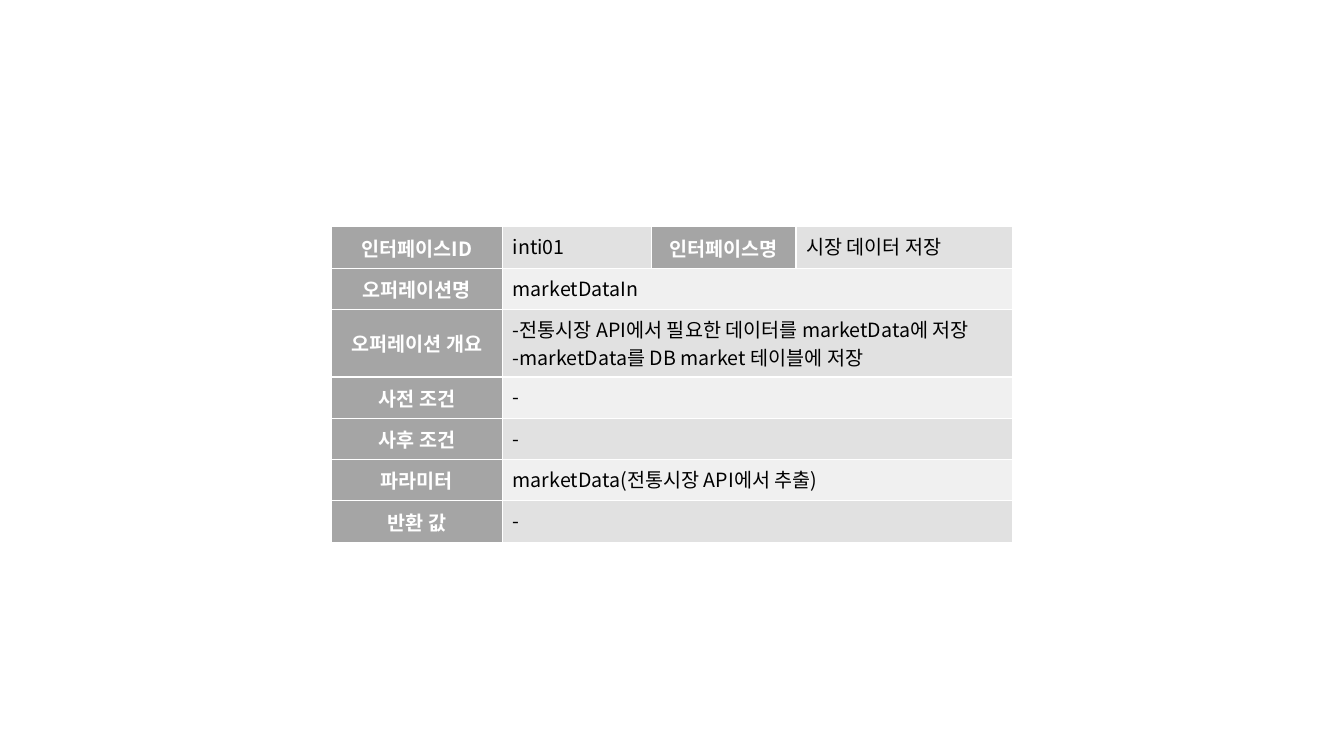
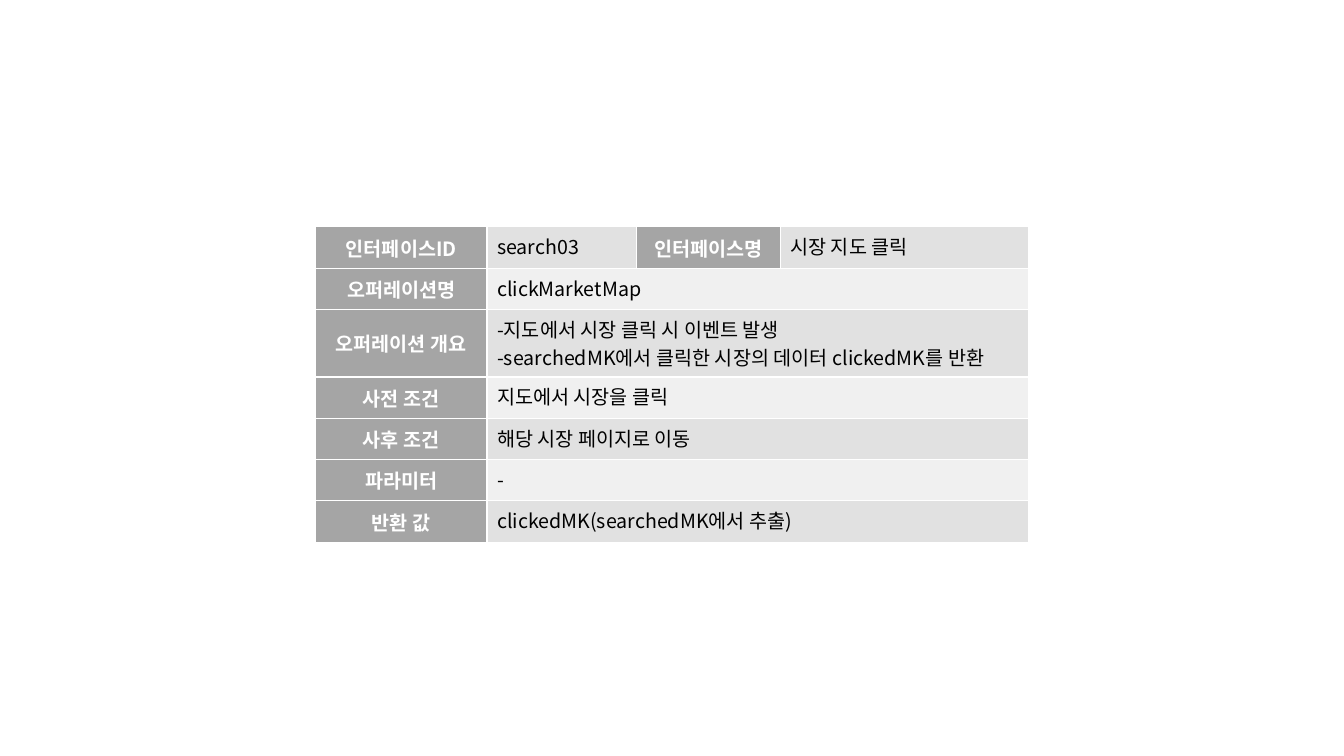
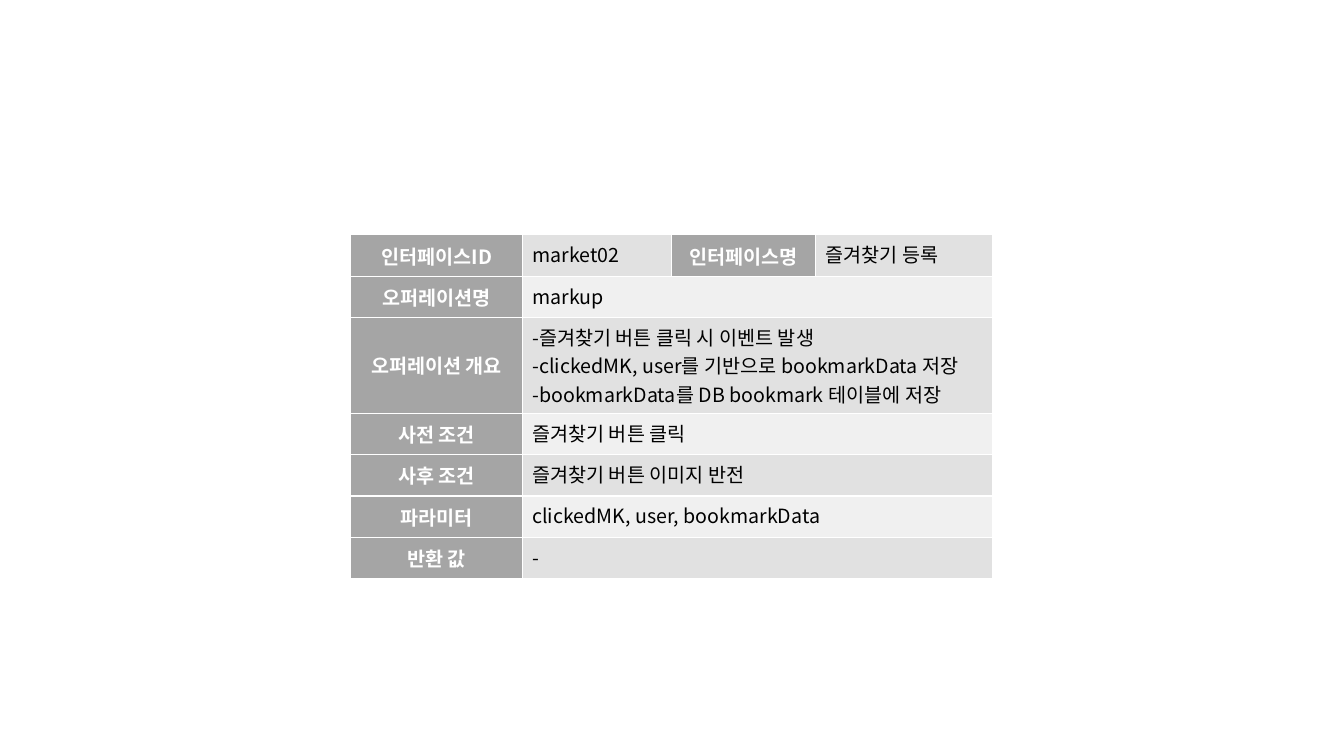
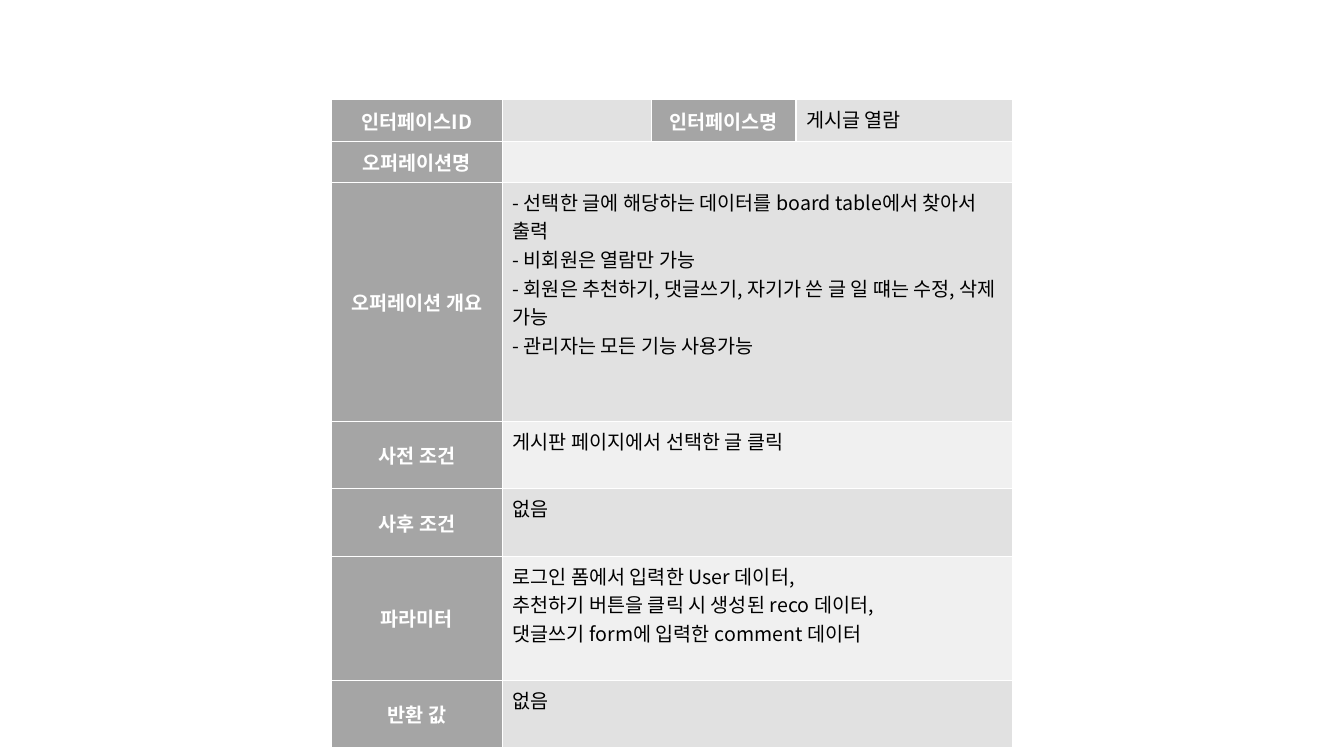
"""Build four interface specification slides, each holding one table."""
from lxml.etree import SubElement
from pptx import Presentation
from pptx.dml.color import RGBColor
from pptx.enum.text import MSO_ANCHOR, PP_ALIGN
from pptx.oxml.ns import qn
from pptx.util import Inches, Pt

THEME = {
    "font": "Noto Sans CJK KR",
    "size": 14,
    "border": "FFFFFF",
    "border_width": 1,
    "label_fill": "A5A5A5",
    "row_fills": ("E1E1E1", "F0F0F0"),
    "label": {"bold": True, "color": "FFFFFF"},
    "value": {"bold": False, "color": "000000"},
}
SLIDE_W, SLIDE_H = 13.33, 7.5
LABEL_COLS = (1.7, 1.48, 1.43)
ROW_H = 0.41
LABELS = ("오퍼레이션명", "오퍼레이션 개요", "사전 조건", "사후 조건", "파라미터", "반환 값")

SPECS = [
    {
        "top": 2.25, "last_col": 2.15, "heights": {2: 0.67},
        "id": "inti01", "name": "시장 데이터 저장",
        "values": (
            "marketDataIn",
            "-전통시장 API에서 필요한 데이터를 marketData에 저장\n"
            "-marketData를 DB market 테이블에 저장",
            "-",
            "-",
            "marketData(전통시장 API에서 추출)",
            "-",
        ),
    },
    {
        "top": 2.25, "last_col": 2.46, "heights": {2: 0.67},
        "id": "search03", "name": "시장 지도 클릭",
        "values": (
            "clickMarketMap",
            "-지도에서 시장 클릭 시 이벤트 발생\n"
            "-searchedMK에서 클릭한 시장의 데이터 clickedMK를 반환",
            "지도에서 시장을 클릭",
            "해당 시장 페이지로 이동",
            "-",
            "clickedMK(searchedMK에서 추출)",
        ),
    },
    {
        "top": 2.33, "last_col": 1.76, "heights": {2: 0.95},
        "id": "market02", "name": "즐겨찾기 등록",
        "values": (
            "markup",
            "-즐겨찾기 버튼 클릭 시 이벤트 발생\n"
            "-clickedMK, user를 기반으로 bookmarkData 저장\n"
            "-bookmarkData를 DB bookmark 테이블에 저장",
            "즐겨찾기 버튼 클릭",
            "즐겨찾기 버튼 이미지 반전",
            "clickedMK, user, bookmarkData",
            "-",
        ),
    },
    {
        "top": 0.99, "last_col": 2.15,
        "heights": {2: 2.37, 3: 0.67, 4: 0.67, 5: 1.23, 6: 0.67},
        "id": "", "name": "게시글 열람",
        "values": (
            "",
            "- 선택한 글에 해당하는 데이터를 board table에서 찾아서 출력\n"
            "- 비회원은 열람만 가능\n"
            "- 회원은 추천하기, 댓글쓰기, 자기가 쓴 글 일 떄는 수정, 삭제\n"
            "가능\n"
            "- 관리자는 모든 기능 사용가능",
            "게시판 페이지에서 선택한 글 클릭",
            "없음",
            "로그인 폼에서 입력한 User 데이터,\n"
            "추천하기 버튼을 클릭 시 생성된 reco 데이터,\n"
            "댓글쓰기 form에 입력한 comment 데이터",
            "없음",
        ),
    },
]


def set_borders(cell):
    tc_pr = cell._tc.get_or_add_tcPr()
    for i, side in enumerate(("lnL", "lnR", "lnT", "lnB")):
        ln = SubElement(tc_pr, qn(f"a:{side}"), w=str(Pt(THEME["border_width"])))
        SubElement(SubElement(ln, qn("a:solidFill")), qn("a:srgbClr"), val=THEME["border"])
        tc_pr.insert(i, ln)


def write_cell(cell, text, fill, style):
    cell.fill.solid()
    cell.fill.fore_color.rgb = RGBColor.from_string(fill)
    set_borders(cell)
    tf = cell.text_frame
    tf.text = text
    is_label = style is THEME["label"]
    if is_label:
        cell.vertical_anchor = MSO_ANCHOR.MIDDLE
    font_format = {"name": THEME["font"], "size": Pt(THEME["size"]), "bold": style["bold"]}
    for p in tf.paragraphs:
        if is_label:
            p.alignment = PP_ALIGN.CENTER
        for r in p.runs:
            for key, value in font_format.items():
                setattr(r.font, key, value)
            r.font.color.rgb = RGBColor.from_string(style["color"])
            SubElement(r._r.get_or_add_rPr(), qn("a:ea"), typeface=THEME["font"])
        SubElement(p._p, qn("a:endParaRPr"), sz=str(THEME["size"] * 100))


prs = Presentation()
prs.slide_width, prs.slide_height = Inches(SLIDE_W), Inches(SLIDE_H)

for spec in SPECS:
    s = prs.slides.add_slide(prs.slide_layouts[6])
    cols = (*LABEL_COLS, spec["last_col"])
    rows = [("인터페이스ID", spec["id"], "인터페이스명", spec["name"])]
    rows += [(label, value, "", "") for label, value in zip(LABELS, spec["values"])]
    heights = [spec["heights"].get(i, ROW_H) for i in range(len(rows))]
    width = sum(cols)
    table = s.shapes.add_table(
        len(rows), len(cols), Inches((SLIDE_W - width) / 2), Inches(spec["top"]),
        Inches(width), Inches(sum(heights)),
    ).table
    table.first_row = table.horz_banding = False
    for col, col_w in zip(table.columns, cols):
        col.width = Inches(col_w)
    for i, (row, texts) in enumerate(zip(table.rows, rows)):
        row.height = Inches(heights[i])
        for j, text in enumerate(texts):
            is_label = j == 0 or (i == 0 and j == 2)
            fill = THEME["label_fill"] if is_label else THEME["row_fills"][i % 2]
            write_cell(table.cell(i, j), text, fill, THEME["label" if is_label else "value"])
        if i > 0:
            table.cell(i, 1).merge(table.cell(i, 3))

prs.save("out.pptx")
